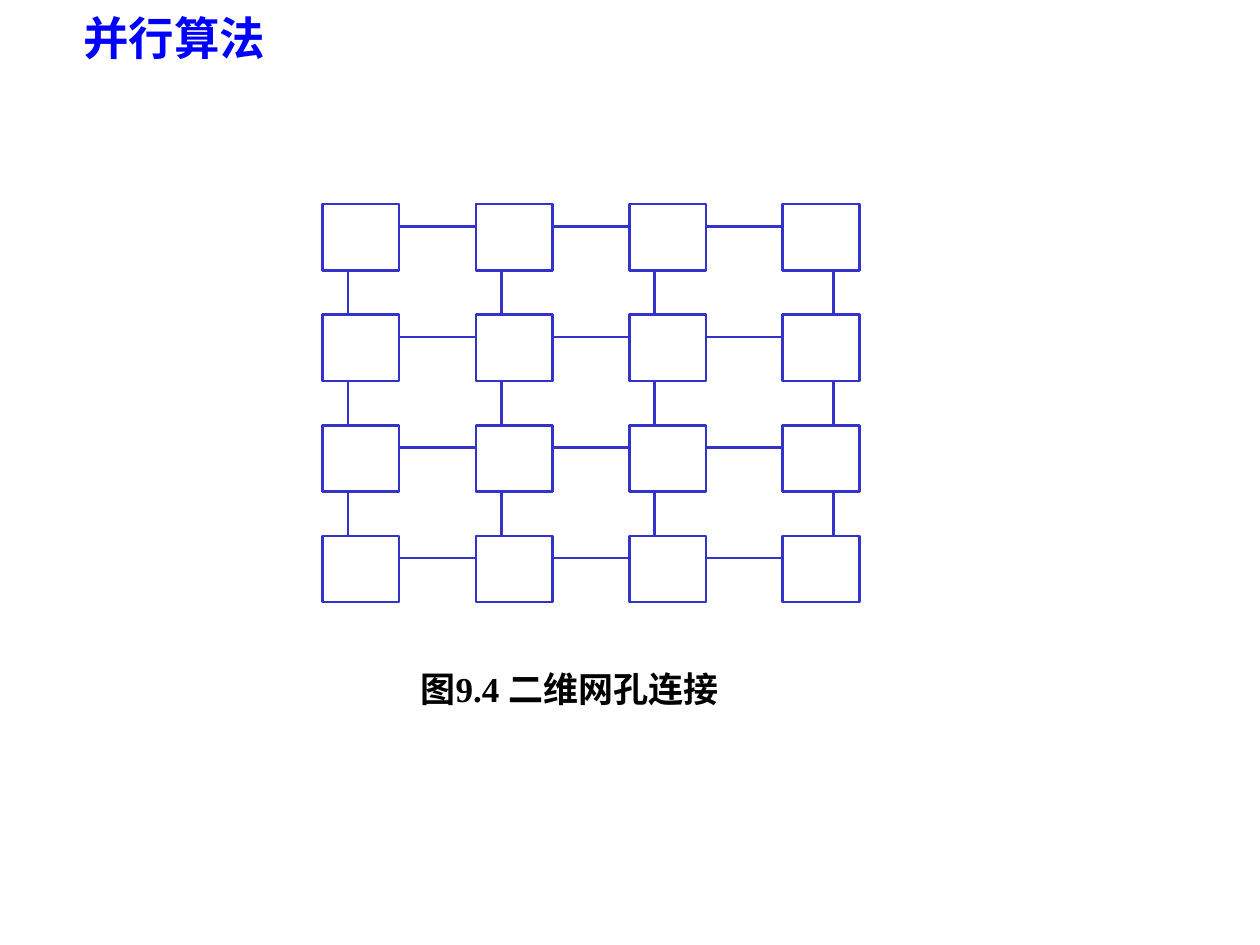
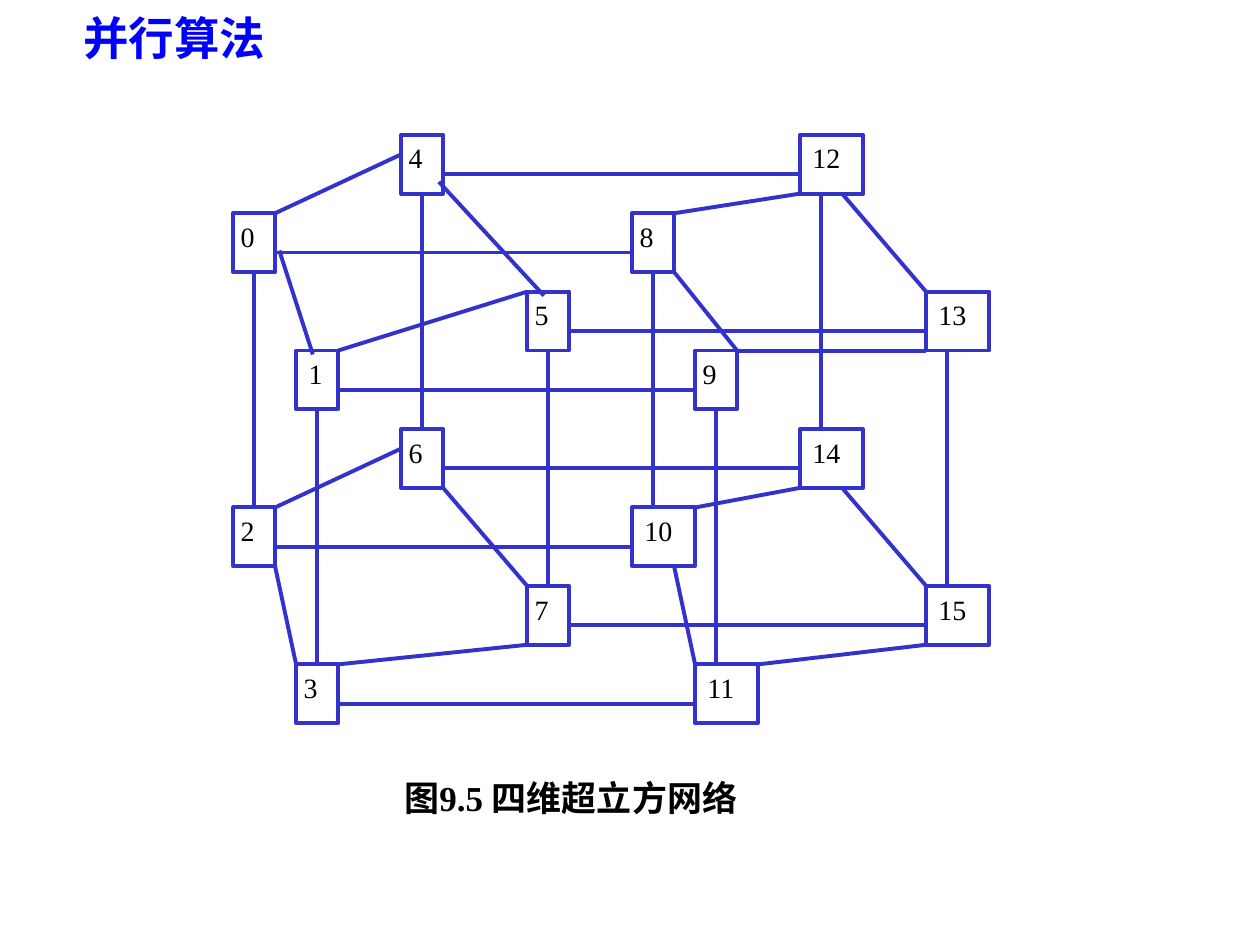
import itertools
from dataclasses import dataclass

import pptx
import pptx.dml.color
import pptx.enum.shapes
import pptx.enum.text
import pptx.oxml.ns
import pptx.util
from lxml import etree

Inches = pptx.util.Inches
Pt = pptx.util.Pt
Align = pptx.enum.text.PP_ALIGN

COLORS = {"title": "0000FF", "link": "3333CC", "box": "FFFFFF", "text": "000000"}
FONT = "Times New Roman"
BOTTOM, TOP = 2, 0  # connection sites of a rectangle


@dataclass
class Grid:
    """An area in inches, divided into equal columns and rows."""
    left: float
    top: float
    width: float
    height: float
    columns: int
    rows: int

    def x(self, column):
        return Inches(self.left + self.width * column / self.columns)

    def y(self, row):
        return Inches(self.top + self.height * row / self.rows)


MESH = Grid(2.56, 1.62, 4.26, 3.16, 21, 18)
MESH_SIZE = 4
MESH_STEP_X, MESH_STEP_Y, MESH_BOX = 6, 5, 3

CUBE = Grid(1.85, 1.07, 6.0, 4.67, 36, 30)
CUBE_BOX_ROWS = 3
CUBE_SHIFT = 19  # columns from node n to node n + 8
# Column and row of nodes 0 to 7
CUBE_HALF = [(0, 4), (3, 11), (0, 19), (3, 27), (8, 0), (14, 8), (8, 15), (14, 23)]
# Start column, start row, end column, end row
SLANTED_LINKS = [
    (8, 1, 2, 4), (14, 8, 5, 11), (8, 16, 2, 19), (10, 18, 14, 23),
    (2, 22, 3, 27), (14, 26, 5, 27), (21, 22, 22, 27), (22, 19, 27, 18),
    (29, 18, 33, 23), (33, 26, 25, 27), (33, 11, 24, 11), (29, 3, 33, 8),
    (27, 3, 21, 4), (21, 7, 24, 11), (9.8, 2.4, 14.8, 8.2), (2.2, 5.9, 3.8, 11.2),
]


def rgb(name):
    return pptx.dml.color.RGBColor.from_string(COLORS[name])


def write(shape, text, size, color="text", bold=False, align=Align.LEFT):
    shape.text_frame.word_wrap = True
    shape.text_frame.vertical_anchor = pptx.enum.text.MSO_ANCHOR.TOP
    paragraph = shape.text_frame.paragraphs[0]
    paragraph.text = text
    paragraph.alignment = align
    font = paragraph.font
    font.name, font.size, font.bold = FONT, Pt(size), bold
    font.color.rgb = rgb(color)


def add_label(slide, bounds, text, size, color="text", align=Align.CENTER):
    """Add a bold line of text; bounds are left, top, width, height in inches."""
    label = slide.shapes.add_textbox(*map(Inches, bounds))
    write(label, text, size, color, True, align)


def add_box(slide, grid, column, row, columns, rows, weight):
    left, top = grid.x(column), grid.y(row)
    box = slide.shapes.add_shape(
        pptx.enum.shapes.MSO_SHAPE.RECTANGLE, left, top,
        grid.x(column + columns) - left, grid.y(row + rows) - top)
    box.shadow.inherit = False
    box.fill.solid()
    box.fill.fore_color.rgb = rgb("box")
    box.line.color.rgb = rgb("link")
    box.line.width = Pt(weight)
    return box


def add_link(slide, grid, start_column, start_row, end_column, end_row, weight):
    link = slide.shapes.add_connector(
        pptx.enum.shapes.MSO_CONNECTOR.STRAIGHT,
        grid.x(start_column), grid.y(start_row), grid.x(end_column), grid.y(end_row))
    link.line.color.rgb = rgb("link")
    link.line.width = Pt(weight)
    properties = link._element.spPr
    etree.SubElement(properties, pptx.oxml.ns.qn("a:effectLst"))
    return link


def add_slide(presentation):
    slide = presentation.slides.add_slide(presentation.slide_layouts[6])
    add_label(slide, (-0.06, 0.03, 2.89, 0.54), "并行算法", 26, "title")
    return slide


def draw_mesh(slide, weight=1.5):
    last = MESH_SIZE - 1
    for i, j in itertools.product(range(MESH_SIZE), repeat=2):
        row, column = i * MESH_STEP_Y, j * MESH_STEP_X
        add_box(slide, MESH, column, row, MESH_BOX, MESH_BOX, weight)
        if j < last:
            add_link(slide, MESH, column + MESH_BOX, row + 1,
                     column + MESH_STEP_X, row + 1, weight)
        if i < last:
            link_column = column + (2 if j == last else 1)
            add_link(slide, MESH, link_column, row + MESH_BOX,
                     link_column, row + MESH_STEP_Y, weight)


def node_columns(node):
    return 3 if node >= 10 else 2


def add_node(slide, node, column, row, weight):
    box = add_box(slide, CUBE, column, row, node_columns(node), CUBE_BOX_ROWS, weight)
    narrow = node < 10 and node != 1
    box.text_frame.margin_left = Inches(0.06 if narrow else 0.1)
    box.text_frame.margin_right = Inches(0.02 if narrow else 0.1)
    write(box, str(node), 16)
    return box


def draw_hypercube(slide, weight=2.25):
    places = CUBE_HALF + [(column + CUBE_SHIFT, row) for column, row in CUBE_HALF]
    boxes = [add_node(slide, node, *place, weight) for node, place in enumerate(places)]
    for node, (column, row) in enumerate(places):
        if not node & 8:
            add_link(slide, CUBE, column + node_columns(node), row + 2,
                     column + CUBE_SHIFT, row + 2, weight)
        if not node & 2:
            below = node + 2
            link = add_link(slide, CUBE, column + 1, row + CUBE_BOX_ROWS,
                            column + 1, places[below][1], weight)
            if node_columns(node) == 2:
                link.begin_connect(boxes[node], BOTTOM)
            if node_columns(below) == 2:
                link.end_connect(boxes[below], TOP)
    for ends in SLANTED_LINKS:
        add_link(slide, CUBE, *ends, weight)


def main():
    presentation = pptx.Presentation()
    presentation.slide_width, presentation.slide_height = Inches(10), Inches(7.5)

    mesh_slide = add_slide(presentation)
    draw_mesh(mesh_slide)
    add_label(mesh_slide, (3.14, 5.25, 2.76, 0.7), "图9.4 二维网孔连接", 20)

    cube_slide = add_slide(presentation)
    draw_hypercube(cube_slide)
    add_label(cube_slide, (3.11, 6.11, 3.33, 0.44), "图9.5 四维超立方网络", 20,
              align=Align.LEFT)

    presentation.save("out.pptx")


if __name__ == "__main__":
    main()
